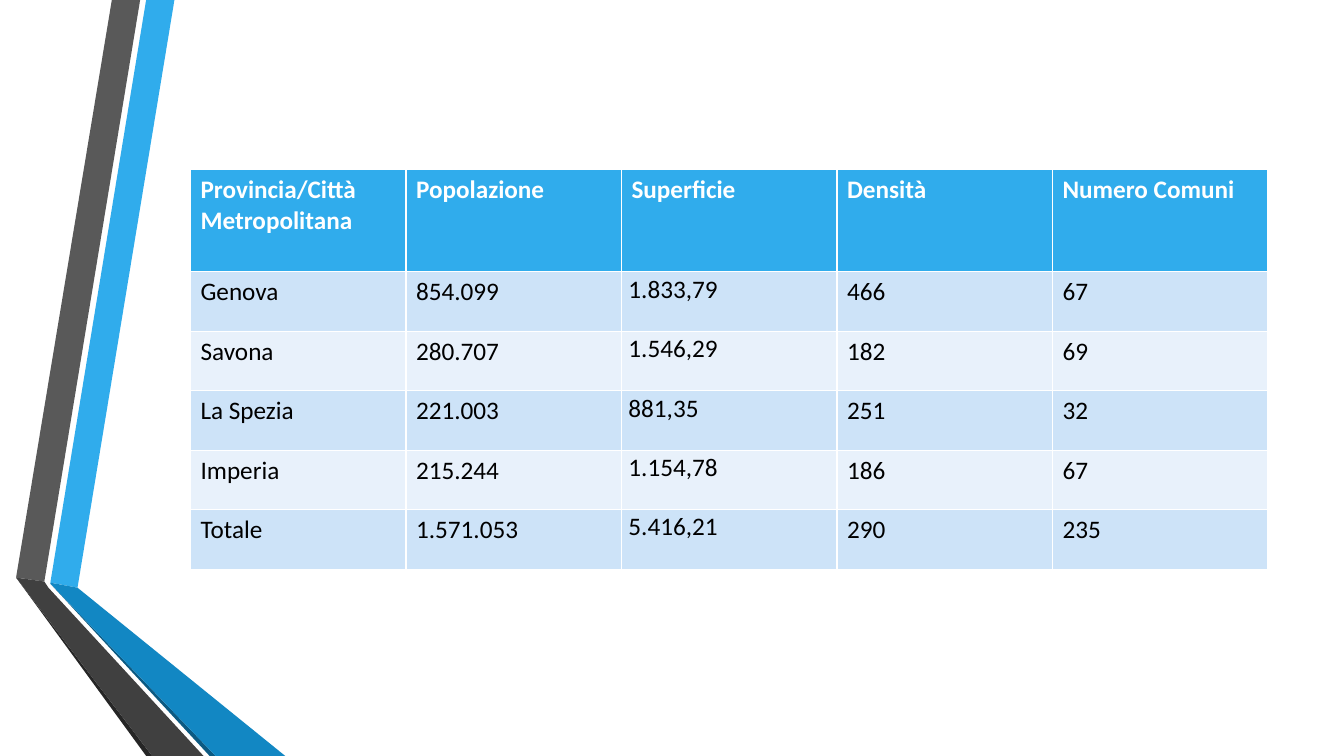
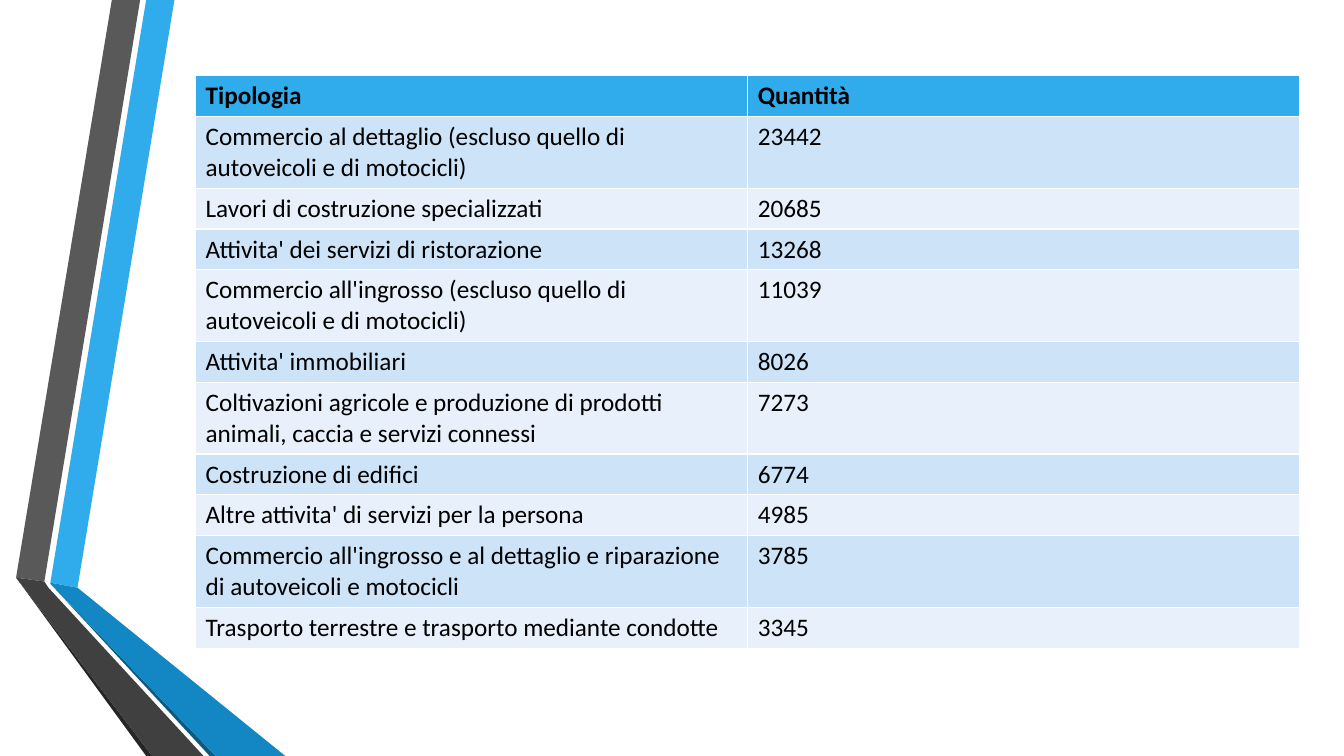
from pptx import Presentation
from pptx.dml.color import RGBColor
from pptx.util import Pt

WHITE = RGBColor(0xFF, 0xFF, 0xFF)
BLACK = RGBColor(0x00, 0x00, 0x00)
BLUE = RGBColor(0x30, 0xAC, 0xEC)
BLUE_SHADE = RGBColor(0x12, 0x87, 0xC3)
BLUE_DEEP = RGBColor(0x0C, 0x5A, 0x82)
GREY = RGBColor(0x59, 0x59, 0x59)
GREY_SHADE = RGBColor(0x40, 0x40, 0x40)
GREY_DEEP = RGBColor(0x26, 0x26, 0x26)
ROW_FILLS = [RGBColor(0xCD, 0xE3, 0xF8), RGBColor(0xE8, 0xF1, 0xFB)]
FONT = "Calibri"

# Ribbon facets, from back to front, as corner points
RIBBONS = [
    (BLUE, [(36, 416.2), (55.4, 419.8), (124.6, 0), (104.4, 0)]),
    (GREY, [(100.1, 0), (79.9, 0), (11.5, 412.6), (31.7, 415.4)]),
    (GREY_DEEP, [(11.5, 412.6), (104.4, 540), (108.7, 540)]),
    (BLUE_DEEP, [(36, 416.9), (149.8, 540), (154.1, 540)]),
    (BLUE_SHADE, [(36, 416.2), (36, 416.9), (154.1, 540), (203.8, 540), (55.4, 419.8)]),
    (GREY_SHADE, [(145.4, 540), (34.6, 419.8), (31.7, 415.4), (11.5, 412.6), (108.7, 540)]),
]

PROVINCES = [
    ["Provincia/Città Metropolitana", "Popolazione", "Superficie", "Densità", "Numero Comuni"],
    ["Genova", "854.099", "1.833,79", "466", "67"],
    ["Savona", "280.707", "1.546,29", "182", "69"],
    ["La Spezia", "221.003", "881,35", "251", "32"],
    ["Imperia", "215.244", "1.154,78", "186", "67"],
    ["Totale", "1.571.053", "5.416,21", "290", "235"],
]
SURFACE_COLUMN = 2

BUSINESSES = [
    ["Tipologia", "Quantità"],
    ["Commercio al dettaglio (escluso quello di autoveicoli e di motocicli)", "23442"],
    ["Lavori di costruzione specializzati", "20685"],
    ["Attivita' dei servizi di ristorazione", "13268"],
    ["Commercio all'ingrosso (escluso quello di autoveicoli e di motocicli)", "11039"],
    ["Attivita' immobiliari", "8026"],
    ["Coltivazioni agricole e produzione di prodotti animali, caccia e servizi connessi", "7273"],
    ["Costruzione di edifici", "6774"],
    ["Altre attivita' di servizi per la persona", "4985"],
    ["Commercio all'ingrosso e al dettaglio e riparazione di autoveicoli e motocicli", "3785"],
    ["Trasporto terrestre e trasporto mediante condotte", "3345"],
]


def write_text(cell, text, color=BLACK, bold=False, size=18):
    paragraph = cell.text_frame.paragraphs[0]
    run = paragraph.add_run()
    run.text = text
    run.font.name = FONT
    run.font.size = Pt(size)
    run.font.bold = bold
    run.font.color.rgb = color
    return paragraph


def add_data_table(slide, rows, left, top, width, header_height, row_height, header_color):
    height = header_height + row_height * (len(rows) - 1)
    table = slide.shapes.add_table(
        len(rows), len(rows[0]), Pt(left), Pt(top), Pt(width), Pt(height)
    ).table
    for column in table.columns:
        column.width = Pt(width / len(rows[0]))
    for row_index, values in enumerate(rows):
        is_header = row_index == 0
        table.rows[row_index].height = Pt(header_height if is_header else row_height)
        for column_index, value in enumerate(values):
            cell = table.cell(row_index, column_index)
            cell.fill.solid()
            cell.fill.fore_color.rgb = BLUE if is_header else ROW_FILLS[(row_index - 1) % 2]
            write_text(cell, value, color=header_color if is_header else BLACK, bold=is_header)
    return table


presentation = Presentation()
presentation.slide_width = Pt(960)
presentation.slide_height = Pt(540)
blank_layout = presentation.slide_layouts[6]
province_slide = presentation.slides.add_slide(blank_layout)
business_slide = presentation.slides.add_slide(blank_layout)

# Shared ribbons: drawn once, then moved to the layout
for color, corners in RIBBONS:
    points = [(Pt(x), Pt(y)) for x, y in corners]
    builder = province_slide.shapes.build_freeform(*points[0])
    builder.add_line_segments(points[1:], close=True)
    shape = builder.convert_to_shape()
    shape.shadow.inherit = False
    shape.fill.solid()
    shape.fill.fore_color.rgb = color
    shape.line.fill.background()
    blank_layout.shapes.element.append(shape.element)

# Slide 1: provinces, with the surface column set tighter
province_table = add_data_table(
    province_slide, PROVINCES, left=136.1, top=121, width=769.7,
    header_height=73.2, row_height=42.5, header_color=WHITE,
)
for row_index in range(1, len(PROVINCES)):
    cell = province_table.cell(row_index, SURFACE_COLUMN)
    cell.margin_left = cell.margin_right = Pt(5)
    cell.margin_top = cell.margin_bottom = Pt(0)
    cell.text_frame.paragraphs[0].line_spacing = 1.07

# Slide 2: businesses by type
add_data_table(
    business_slide, BUSINESSES, left=139.7, top=54, width=788.8,
    header_height=29.2, row_height=29.2, header_color=BLACK,
)

presentation.save("out.pptx")
